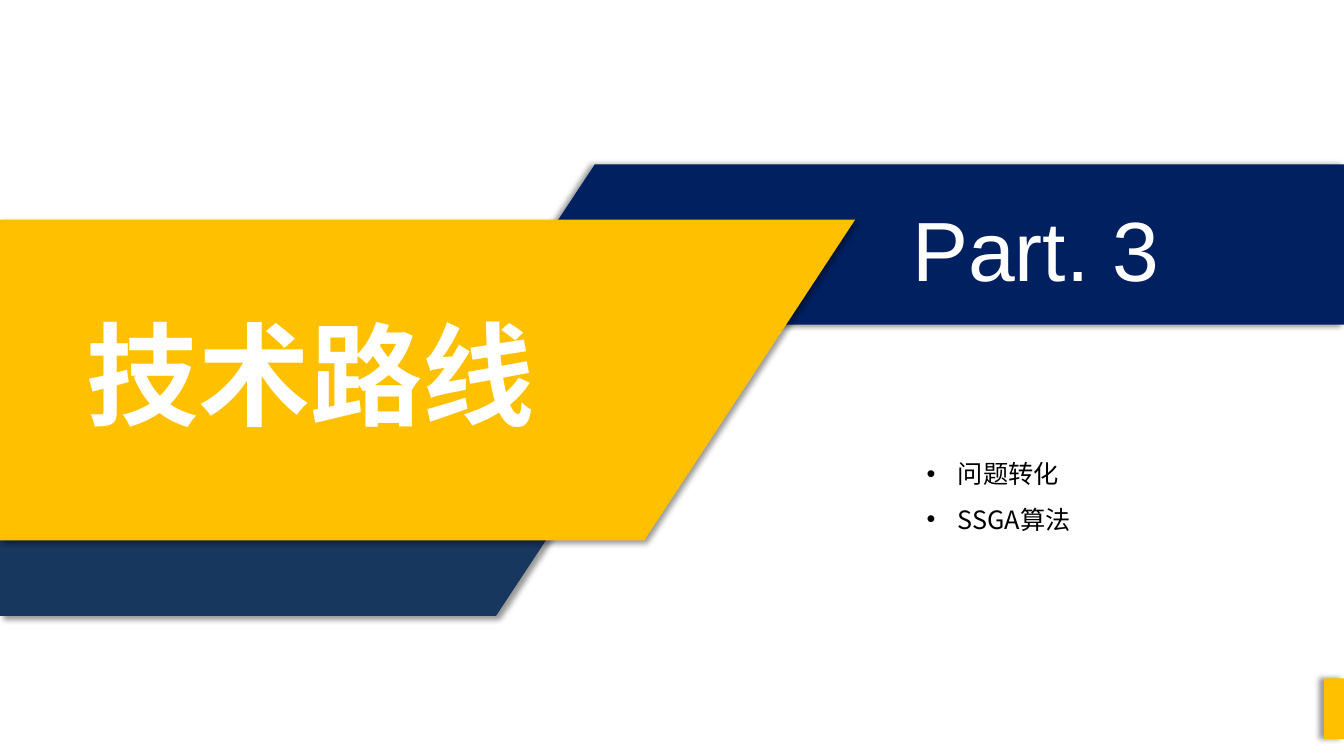
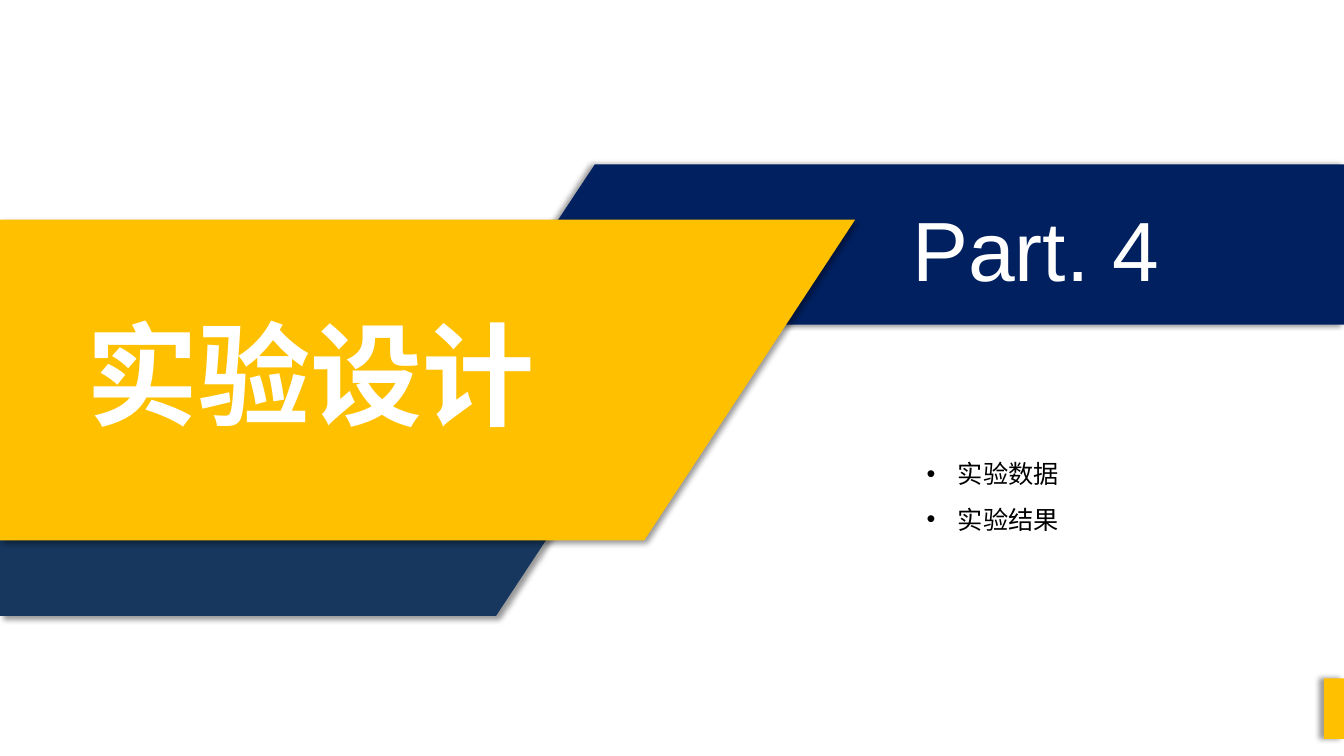
"""Build the two section divider slides of the deck."""
from lxml import etree
from pptx import Presentation
from pptx import util as u
from pptx.dml.color import RGBColor
from pptx.enum import shapes, text
from pptx.oxml import parse_xml
from pptx.oxml.ns import nsdecls, qn

NAVY, STEEL, GOLD, WHITE, BLACK = "002060", "17375E", "FFC000", "FFFFFF", "000000"
CJK = "Noto Sans CJK SC"

prs = Presentation()
prs.slide_width, prs.slide_height = u.Inches(13.33), u.Inches(7.5)
COL, ROW = prs.slide_width / 100, prs.slide_height / 75

BANDS = [
    (STEEL, 45, [(0, 51.1), (41.86, 51.1), (36.91, 61.1), (0, 61.1)]),
    (NAVY, 180, [(44.26, 16.3), (100, 16.3), (100, 32.2), (36.38, 32.2)]),
    (GOLD, 45, [(0, 21.8), (63.62, 21.8), (47.94, 53.6), (0, 53.6)]),
]
SECTIONS = [
    ("Part. 3", "技术路线", ["问题转化", "SSGA算法"], 22.43),
    ("Part. 4", "实验设计", ["实验数据", "实验结果"], 15.53),
]


def paint(sp, color, angle):
    """Fill a shape and give it the deck's soft shadow."""
    sp.fill.solid()
    sp.fill.fore_color.rgb = RGBColor.from_string(color)
    sp.line.fill.background()
    sp.shadow.inherit = False
    effects = sp.element.spPr.find(qn("a:effectLst"))
    effects.append(parse_xml(
        f'<a:outerShdw {nsdecls("a")} blurRad="{u.Pt(4)}" dist="{u.Pt(3)}" '
        f'dir="{angle * 60000}" algn="ctr" rotWithShape="0"><a:srgbClr val="{BLACK}">'
        '<a:alpha val="40000"/></a:srgbClr></a:outerShdw>'))


def write(sp, lines, box, size, font, color, bold=False, align="LEFT", wrap=True,
          spacing=1.0, bullet=None):
    """Place a text shape on the grid and fill it with formatted paragraphs."""
    x, y, w, h = box
    sp.left, sp.top = int(x * COL), int(y * ROW)
    sp.width, sp.height = int(w * COL), int(h * ROW)
    tf = sp.text_frame
    tf.word_wrap = wrap
    tf.auto_size = text.MSO_AUTO_SIZE.SHAPE_TO_FIT_TEXT
    tf.vertical_anchor = text.MSO_ANCHOR.TOP
    for i, line in enumerate(lines):
        p = tf.add_paragraph() if i else tf.paragraphs[0]
        p.alignment = getattr(text.PP_ALIGN, align)
        p.line_spacing, p.space_before = spacing, u.Pt(0)
        if bullet:
            pPr = p._p.get_or_add_pPr()
            pPr.set("marL", str(u.Inches(0.31)))
            pPr.set("indent", str(-u.Inches(0.31)))
            etree.SubElement(pPr, qn("a:buFont")).set("typeface", "Arial")
            etree.SubElement(pPr, qn("a:buChar")).set("char", bullet)
        r = p.add_run()
        r.text = line
        r.font.size, r.font.bold, r.font.name = u.Pt(size), bold, font
        r.font.color.rgb = RGBColor.from_string(color)
        etree.SubElement(r._r.get_or_add_rPr(), qn("a:ea")).set("typeface", CJK)


for part, title, topics, topics_width in SECTIONS:
    s = prs.slides.add_slide(prs.slide_layouts[1])
    heading, body = s.shapes.title, s.placeholders[1]

    for color, angle, points in BANDS:
        corners = [(int(x * COL), int(y * ROW)) for x, y in points]
        outline = s.shapes.build_freeform(*corners[0])
        outline.add_line_segments(corners[1:], close=True)
        paint(outline.convert_to_shape(), color, angle)

    label = s.shapes.add_textbox(0, 0, 0, 0)
    write(label, [part], (66.77, 19.1, 20.63, 11.1), 60, "Arial", WHITE, align="CENTER")

    s.shapes.element.append(heading.element)
    write(heading, [title], (5.7, 29.8, 35.18, 14.5), 80, "Quicksand", WHITE,
          bold=True, wrap=False)

    tab = s.shapes.add_shape(shapes.MSO_SHAPE.RECTANGLE, int(98.5 * COL), int(67.3 * ROW),
                             int(1.5 * COL), int(6 * ROW))
    paint(tab, GOLD, 180)

    s.shapes.element.append(body.element)
    write(body, topics, (68.19, 43.5, topics_width, 10.1), 18, CJK, BLACK,
          spacing=1.5, bullet="•")

prs.save("out.pptx")
